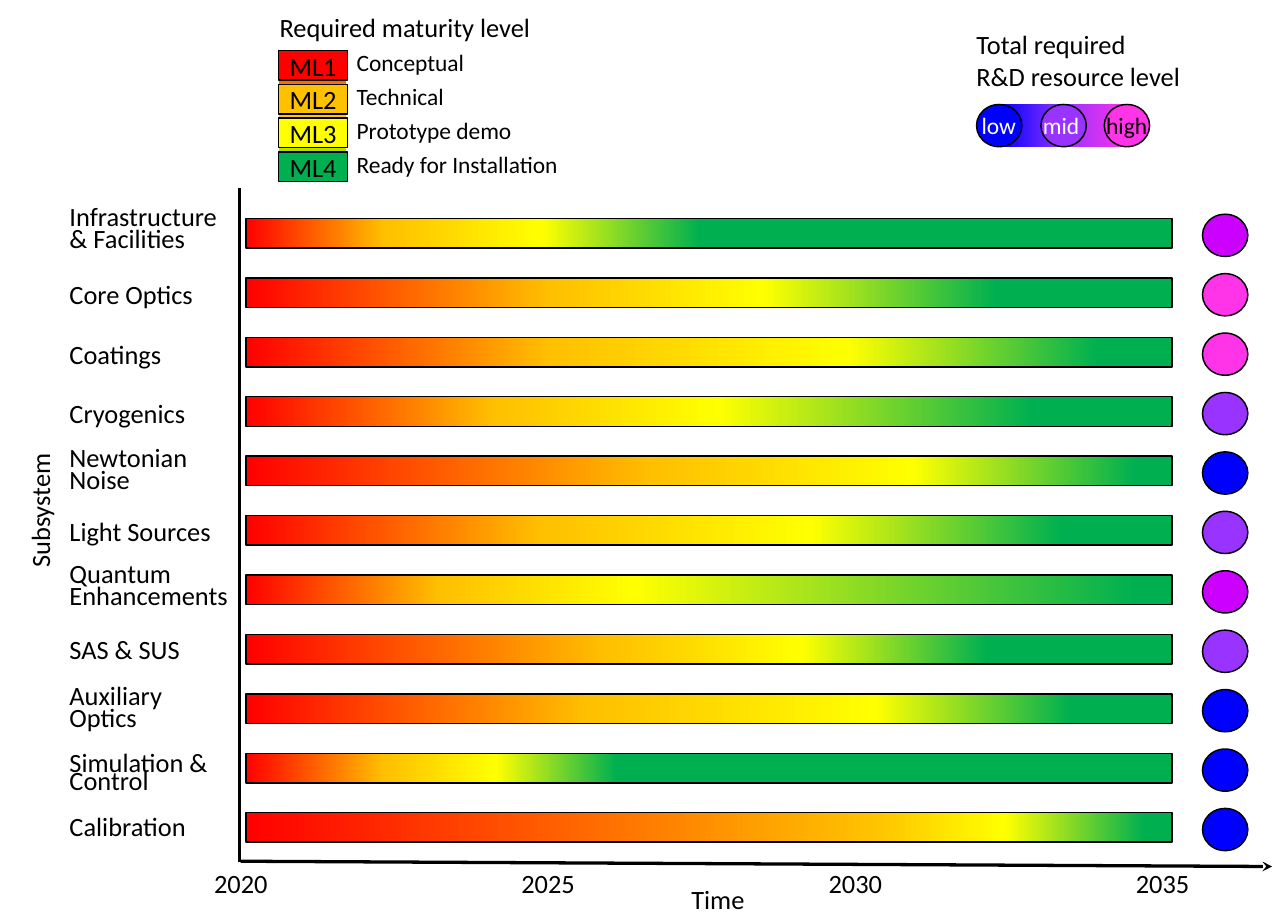
from lxml.etree import SubElement
from pptx import Presentation
from pptx.dml.color import RGBColor
from pptx.enum.shapes import MSO_CONNECTOR, MSO_SHAPE
from pptx.enum.text import MSO_ANCHOR, PP_ALIGN
from pptx.oxml.ns import qn
from pptx.util import Inches, Pt

BLACK, WHITE = "000000", "FFFFFF"
RED, AMBER, YELLOW, GREEN = "FF0000", "FFC000", "FFFF00", "00B050"
BLUE, VIOLET, PURPLE, PINK = "0000FF", "9933FF", "CC00FF", "FF33E7"


def add_text(parent, text, left, top, width, height, size=18, color=BLACK):
    """Add an unwrapped text box, one paragraph per line of text (\\v breaks a line)."""
    box = parent.add_textbox(Inches(left), Inches(top), Inches(width), Inches(height))
    box.text_frame.word_wrap = False
    box.text_frame.text = text
    for para in box.text_frame.paragraphs:
        para.font.name = "Calibri"
        para.font.size = Pt(size)
        para.font.color.rgb = RGBColor.from_string(color)
    return box


def add_filled(parent, kind, left, top, width, height, fill, angle=0, outline=True):
    """Add a shape filled with a hex colour or with a list of (percent, hex) stops."""
    shape = parent.add_shape(kind, Inches(left), Inches(top), Inches(width), Inches(height))
    shape.shadow.inherit = False
    if isinstance(fill, str):
        shape.fill.solid()
        shape.fill.fore_color.rgb = RGBColor.from_string(fill)
    else:
        shape.fill.gradient()
        shape.fill.gradient_angle = angle
        stops = shape._element.spPr.find(".//" + qn("a:gsLst"))
        for stop in list(stops):
            stops.remove(stop)
        for percent, color in fill:
            stop = SubElement(stops, qn("a:gs"), pos=str(percent * 1000))
            SubElement(stop, qn("a:srgbClr"), val=color)
    if outline:
        shape.line.color.rgb = RGBColor.from_string(BLACK)
        shape.line.width = Pt(1)
    else:
        shape.line.fill.background()
    return shape


deck = Presentation()
deck.slide_width, deck.slide_height = Inches(12.2), Inches(8.66)
page = deck.slides.add_slide(deck.slide_layouts[6])
shapes = page.shapes

# Axes
for ends in [(2.28, 8.16, 12.05, 8.21), (2.27, 8.17, 2.27, 1.78)]:
    axis = shapes.add_connector(MSO_CONNECTOR.STRAIGHT, *[Inches(end) for end in ends])
    axis.line.color.rgb = RGBColor.from_string(BLACK)
    axis.line.width = Pt(2.25)
    if ends[0] != ends[2]:
        SubElement(axis.line._get_or_add_ln(), qn("a:tailEnd"), type="stealth")
    SubElement(axis._element.spPr, qn("a:effectLst"))

for index, year in enumerate(["2020", "2025", "2030", "2035"]):
    add_text(shapes, year, 1.93 + 2.91 * index, 8.17, 0.71, 0.4)
add_text(shapes, "Time", 6.45, 8.32, 0.71, 0.4)
add_text(shapes, "Subsystem", -0.27, 4.63, 1.29, 0.4).rotation = 270

# Subsystem rows: label, label top and width, percent of amber, yellow and green, resource level
rows = [
    ("Infrastructure\v& Facilities", 1.94, 1.61, (15, 32, 49), PURPLE),
    ("Core Optics", 2.59, 1.38, (33, 56, 81), PINK),
    ("Coatings", 3.15, 1.08, (33, 65, 92), PINK),
    ("Cryogenics", 3.71, 1.31, (27, 51, 85), VIOLET),
    ("Newtonian\vNoise", 4.22, 1.33, (44, 72, 96), BLUE),
    ("Light Sources", 4.83, 1.56, (32, 61, 88), VIOLET),
    ("Quantum \vEnhancements", 5.32, 1.72, (21, 42, 96), PURPLE),
    ("SAS & SUS", 5.95, 1.26, (39, 60, 80), VIOLET),
    ("Auxiliary \vOptics", 6.48, 1.14, (37, 68, 89), BLUE),
    ("Simulation & \nControl", 7.02, 1.58, (15, 27, 40), BLUE),
    ("Calibration", 7.63, 1.32, (67, 82, 97), BLUE),
]
row_pitch = 5.63 / (len(rows) - 1)
for index, (name, top, width, percents, level) in enumerate(rows):
    label = add_text(shapes, name, 0.56, top, width, 0.4 if name.isprintable() else 0.54)
    if "\v" in name:
        label.text_frame.paragraphs[0].line_spacing = Pt(15)
    elif "\n" in name:
        label.text_frame.paragraphs[1].line_spacing = Pt(12)
    stops = list(zip((0, *percents), (RED, AMBER, YELLOW, GREEN)))
    offset = row_pitch * index
    add_filled(shapes, MSO_SHAPE.RECTANGLE, 2.33, 2.07 + offset, 8.77, 0.28, stops)
    add_filled(shapes, MSO_SHAPE.OVAL, 11.39, 2.03 + offset, 0.43, 0.4, level)

# Maturity legend
maturity = shapes.add_group_shape().shapes
add_filled(maturity, MSO_SHAPE.RECTANGLE, 2.64, 0.48, 0.64, 1.24,
           [(0, "009207"), (34, YELLOW), (70, "FF8200"), (100, RED)], angle=90, outline=False)
add_text(maturity, "Required maturity level", 2.55, 0.06, 2.6, 0.4)
maturity_levels = [
    ("Conceptual", 1.23, RED),
    ("Technical", 1.03, AMBER),
    ("Prototype demo", 1.69, YELLOW),
    ("Ready for Installation", 2.13, GREEN),
]
for index, (meaning, width, color) in enumerate(maturity_levels):
    top = 0.48 + 0.32 * index
    key = add_filled(maturity, MSO_SHAPE.RECTANGLE, 2.64, top, 0.65, 0.28, color)
    frame = key.text_frame
    frame.margin_left = frame.margin_right = 0
    frame.vertical_anchor = MSO_ANCHOR.MIDDLE
    frame.text = f"ML{index + 1}"
    para = frame.paragraphs[0]
    para.alignment = PP_ALIGN.CENTER
    para.font.name = "Calibri"
    para.font.size = Pt(18)
    para.font.color.rgb = RGBColor.from_string(BLACK)
    add_text(maturity, meaning, 3.28, top - 0.07, width, 0.37, size=16)

# Resource legend
resource = shapes.add_group_shape().shapes
add_filled(resource, MSO_SHAPE.RECTANGLE, 9.47, 0.99, 1.23, 0.4,
           [(0, BLUE), (51, VIOLET), (100, PINK)], outline=False)
heading = add_text(resource, "Total required \nR&D resource level", 9.15, 0.22, 2.15, 0.71)
heading.text_frame.word_wrap = True
resource_levels = [
    ("low", 9.25, 9.2, 0.54, BLUE, WHITE),
    ("high", 10.46, 10.38, 0.6, PINK, BLACK),
    ("mid", 9.86, 9.78, 0.55, VIOLET, WHITE),
]
for name, circle_left, text_left, width, fill, color in resource_levels:
    add_filled(resource, MSO_SHAPE.OVAL, circle_left, 0.99, 0.43, 0.4, fill)
    add_text(resource, name, text_left, 1, width, 0.39, size=16, color=color)

deck.save("out.pptx")
